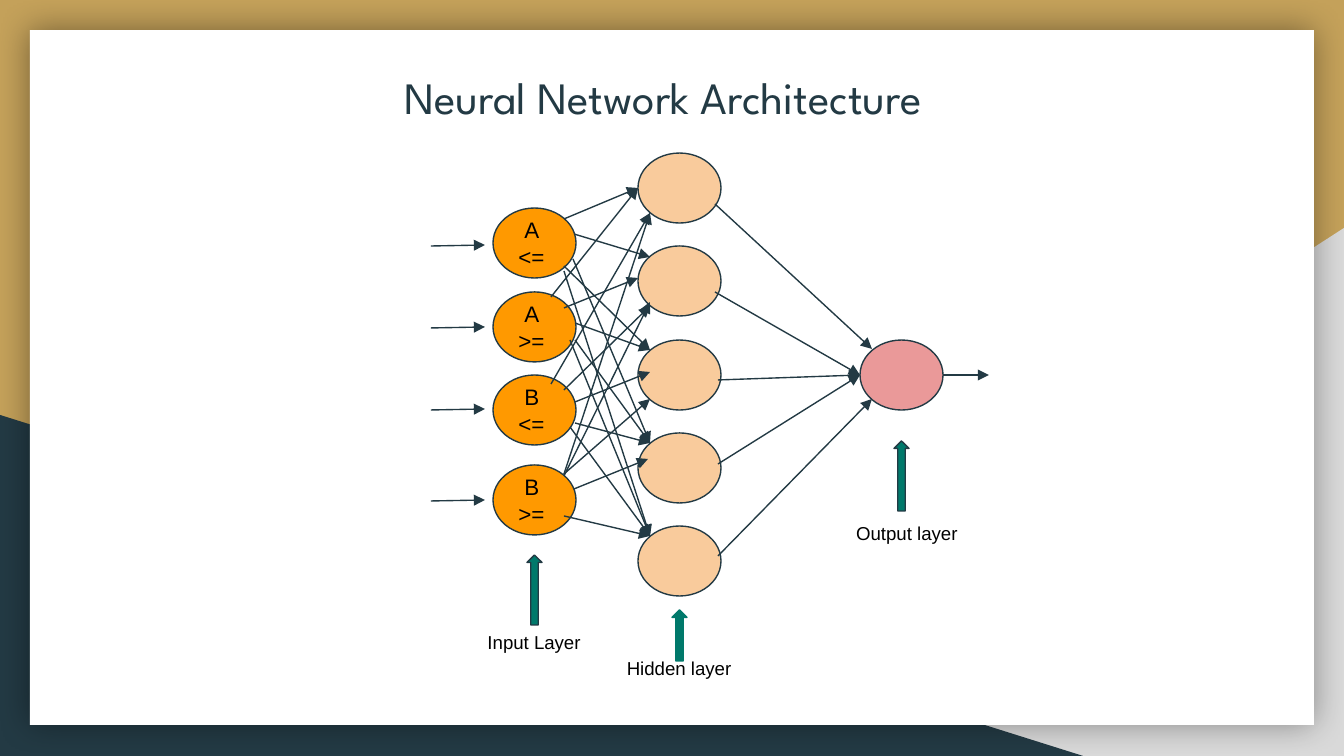
"""Build the neural network architecture slide."""
import dataclasses

import lxml.etree
import pptx
import pptx.dml.color
import pptx.enum.shapes
import pptx.enum.text
import pptx.oxml.ns
import pptx.util

SHAPE = pptx.enum.shapes.MSO_SHAPE
ALIGN = pptx.enum.text.PP_ALIGN
ANCHOR = pptx.enum.text.MSO_ANCHOR
EMU_PER_PX = 914400 / 134.4


@dataclasses.dataclass(frozen=True)
class Theme:
    gold: str = "C4A15A"
    grey: str = "D9D9D9"
    navy: str = "233A44"
    white: str = "FFFFFF"
    black: str = "000000"
    orange: str = "FF9900"
    peach: str = "F9CB9C"
    pink: str = "EA9999"
    teal: str = "00796B"
    title_font: str = "League Spartan"
    body_font: str = "Arial"
    title_size: int = 24
    node_size: int = 12
    label_size: int = 10
    line_width: float = 0.75


def px(length):
    return pptx.util.Emu(round(length * EMU_PER_PX))


def rgb(color):
    return pptx.dml.color.RGBColor.from_string(color)


def add_element(parent, tag, **attributes):
    return lxml.etree.SubElement(parent, pptx.oxml.ns.qn(tag), attributes)


class SlideBuilder:
    def __init__(self, presentation, theme):
        self.theme = theme
        self.slide = presentation.slides.add_slide(presentation.slide_layouts[6])
        background = self.slide.background.fill
        background.solid()
        background.fore_color.rgb = rgb(theme.gold)

    def shape(self, kind, left, top, width, height, fill, line=None):
        shape = self.slide.shapes.add_shape(kind, px(left), px(top), px(width), px(height))
        shape.shadow.inherit = False
        shape.fill.solid()
        shape.fill.fore_color.rgb = rgb(fill)
        if line:
            shape.line.color.rgb = rgb(line)
            shape.line.width = pptx.util.Pt(self.theme.line_width)
        else:
            shape.line.fill.background()
        return shape

    def backdrop(self):
        theme = self.theme
        corner = self.shape(SHAPE.RIGHT_TRIANGLE, 527, 228, 817, 528, theme.grey)
        corner._element.spPr.xfrm.set("flipH", "1")
        self.shape(SHAPE.RIGHT_TRIANGLE, 0, 415, 1083, 341, theme.navy)
        panel = self.shape(SHAPE.RECTANGLE, 30, 30, 1284, 695, theme.white)
        effects = panel._element.spPr.find(pptx.oxml.ns.qn("a:effectLst"))
        shadow = add_element(effects, "a:outerShdw", blurRad=str(pptx.util.Pt(18)),
                             dist="0", algn="ctr", rotWithShape="0")
        color = add_element(shadow, "a:srgbClr", val=theme.black)
        add_element(color, "a:alpha", val="40000")

    def format_text(self, text_frame, font, size, color, align):
        text_frame.word_wrap = True
        for side in ("left", "top", "right", "bottom"):
            setattr(text_frame, f"margin_{side}", pptx.util.Inches(0.1))
        for paragraph in text_frame.paragraphs:
            paragraph.alignment = align
            for run in paragraph.runs:
                run.font.name = font
                run.font.size = pptx.util.Pt(size)
                run.font.color.rgb = rgb(color)

    def text(self, text, left, top, width, height, font, size, color, align=ALIGN.CENTER):
        box = self.slide.shapes.add_textbox(px(left), px(top), px(width), px(height))
        box.text_frame.text = text
        box.text_frame.vertical_anchor = ANCHOR.TOP
        self.format_text(box.text_frame, font, size, color, align)

    def title(self, text):
        theme = self.theme
        self.text(text, 64, 56, 1198, 86, theme.title_font, theme.title_size, theme.navy)

    def label(self, text, left, top, width, align=ALIGN.CENTER):
        theme = self.theme
        self.text(text, left, top, width, 42, theme.body_font, theme.label_size,
                  theme.black, align)

    def node(self, left, top, fill, text=None):
        theme = self.theme
        node = self.shape(SHAPE.OVAL, left, top, 83, 70, fill, theme.navy)
        if text:
            text_frame = node.text_frame
            text_frame.text = text
            text_frame.vertical_anchor = ANCHOR.MIDDLE
            text_frame.paragraphs[0]._p.get_or_add_pPr().set("marL", str(px(6)))
            self.format_text(text_frame, theme.body_font, theme.node_size,
                             theme.black, ALIGN.LEFT)

    def arrow(self, start, end):
        connector = self.slide.shapes.add_connector(
            pptx.enum.shapes.MSO_CONNECTOR.STRAIGHT, *map(px, start + end))
        connector.line.color.rgb = rgb(self.theme.navy)
        connector.line.width = pptx.util.Pt(self.theme.line_width)
        add_element(connector.line._get_or_add_ln(), "a:tailEnd", type="triangle")
        add_element(connector._element.spPr, "a:effectLst")

    def pointer(self, left, top, height, line):
        self.shape(SHAPE.UP_ARROW, left, top, 15, height, self.theme.teal, line)


INPUTS = ((208, "A\n<="), (292, "A\n>="), (375, "B\n<="), (465, "B\n>="))
HIDDEN_TOPS = (153, 246, 340, 433, 526)
EDGES = {
    (638, 188): ((564, 219), (551, 297)),
    (650, 213): ((551, 384), (564, 474)),
    (650, 257): ((574, 234),),
    (638, 278): ((564, 308),),
    (650, 302): ((564, 476),),
    (650, 306): ((564, 390),),
    (650, 350): ((575, 323), (564, 266)),
    (650, 372): ((575, 402),),
    (650, 399): ((564, 474),),
    (648, 459): ((574, 489),),
    (650, 443): ((575, 340), (573, 259), (575, 423)),
    (650, 536): ((564, 516), (570, 427), (570, 340), (564, 271)),
    (872, 349): ((715, 204),),
    (860, 375): ((715, 292), (718, 380), (718, 464)),
    (872, 399): ((718, 556),),
    (989, 375): ((943, 375),),
}
INPUT_ARROW_YS = (246, 328, 410, 501)


def main():
    presentation = pptx.Presentation()
    presentation.slide_width = px(1344)
    presentation.slide_height = px(756)
    theme = Theme()
    builder = SlideBuilder(presentation, theme)

    builder.backdrop()
    builder.title("Neural Network Architecture")
    for top, text in INPUTS:
        builder.node(493, top, theme.orange, text)
    for top in HIDDEN_TOPS:
        builder.node(638, top, theme.peach)
    builder.node(860, 340, theme.pink)

    for end, starts in EDGES.items():
        for start in starts:
            builder.arrow(start, end)
    for y in INPUT_ARROW_YS:
        builder.arrow((431, y), (485, y - 1))

    builder.pointer(527, 555, 70, theme.navy)
    builder.pointer(894, 441, 70, theme.navy)
    builder.pointer(672, 610, 51, theme.teal)
    builder.label("Input Layer", 401, 620, 266)
    builder.label("Hidden layer", 607, 646, 144)
    builder.label("Output layer", 843, 511, 202, ALIGN.LEFT)
    presentation.save("out.pptx")


if __name__ == "__main__":
    main()
